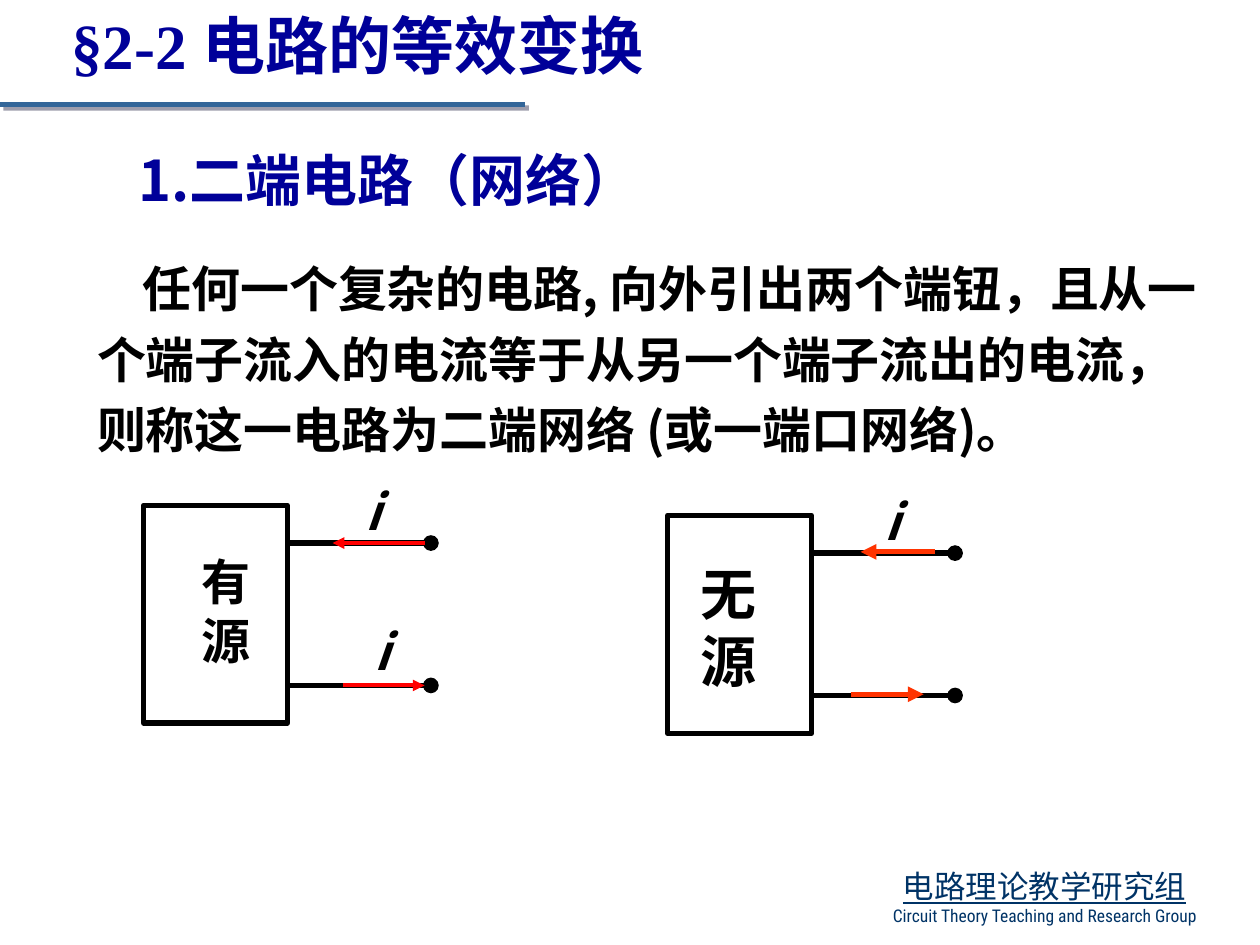
from lxml.etree import SubElement
from pptx import Presentation
from pptx.dml.color import RGBColor
from pptx.enum.shapes import MSO_CONNECTOR as LineKind, MSO_SHAPE as Preset
from pptx.enum.text import MSO_ANCHOR as Anchor, MSO_AUTO_SIZE as AutoSize, PP_ALIGN as Align
from pptx.oxml.ns import qn
from pptx.util import Inches, Pt

BLACK = RGBColor(0x00, 0x00, 0x00)
WHITE = RGBColor(0xFF, 0xFF, 0xFF)
NAVY = RGBColor(0x00, 0x00, 0x99)
RED = RGBColor(0xFF, 0x00, 0x00)
ORANGE = RGBColor(0xFF, 0x33, 0x00)
STEEL = RGBColor(0x33, 0x66, 0x99)
DEEP_BLUE = RGBColor(0x00, 0x33, 0x66)
SANS = "Noto Sans CJK SC"


def write(box, place, lines, align=Align.LEFT, **common):
    """Place a text shape and fill it with (text, format) lines."""
    box.left, box.top, box.width, box.height = map(Inches, place)
    frame = box.text_frame
    frame.word_wrap = True
    frame.auto_size = AutoSize.NONE
    frame.vertical_anchor = Anchor.TOP
    for number, (text, special) in enumerate(lines):
        para = frame.add_paragraph() if number else frame.paragraphs[0]
        para.alignment = align
        para.space_before = Pt(0)
        span = para.add_run()
        span.text = text
        look = {"name": SANS, "bold": True, **common, **special}
        span.font.color.rgb = look.pop("color", BLACK)
        for name, value in look.items():
            setattr(span.font, name, value)
        SubElement(span.font._element, qn("a:ea"), typeface=SANS)
    return frame


def draw_line(x1, y1, x2, y2, color, width, tail=None):
    """Draw a straight line without shadow and return its effect list."""
    line = page.shapes.add_connector(LineKind.STRAIGHT, *map(Inches, (x1, y1, x2, y2)))
    line.line.color.rgb = color
    line.line.width = Pt(width)
    if tail:
        SubElement(line.line._get_or_add_ln(), qn("a:tailEnd"), type=tail)
    return SubElement(line._element.spPr, qn("a:effectLst"))


deck = Presentation()
deck.slide_width, deck.slide_height = Inches(10), Inches(7.5)
page = deck.slides.add_slide(deck.slide_layouts[1])

# Title with its shadowed rule
write(page.shapes.title, (0, 0, 5.67, 0.7), [("§2-2 电路的等效变换", {})],
      Align.CENTER, name="Times New Roman", size=Pt(36), color=NAVY)
effects = draw_line(0, 0.83, 4.17, 0.83, STEEL, 3)
shadow = SubElement(effects, qn("a:outerShdw"), dist=str(Pt(2.8)), dir="2700000")
shade = SubElement(shadow, qn("a:srgbClr"), val="3E3E5C")
SubElement(shade, qn("a:alpha"), val="50000")

# Section heading
heading = page.shapes.add_textbox(0, 0, 0, 0)
write(heading, (0.38, 1.11, 5.4, 0.63), [("1.二端电路（网络）", {})],
      Align.CENTER, size=Pt(32), color=NAVY)

# Definition, with a first-line indent and no bullet
definition = ("任何一个复杂的电路, 向外引出两个端钮，且从一个端子流入的电流等于"
              "从另一个端子流出的电流，则称这一电路为二端网络 (或一端口网络)。")
frame = write(page.placeholders[1], (0.67, 1.91, 8.98, 1.78), [(definition, {})], size=Pt(28))
para = frame.paragraphs[0]
para.line_spacing = 1.2
settings = para._p.get_or_add_pPr()
settings.set("marL", "0")
settings.set("indent", str(Inches(0.36)))
SubElement(settings, qn("a:buNone"))

# Two networks: frame, two terminals, current arrows
networks = [
    (1.14, 4.01, RED, 2.25, (3.37, 2.64), (2.72, 3.37), 0),
    (5.3, 4.09, ORANGE, 3, (7.42, 6.83), (6.75, 7.33), -0.01),
]
for left, top, color, width, inward, outward, lift in networks:
    block = page.shapes.add_shape(Preset.RECTANGLE, *map(Inches, (left, top, 1.14, 1.73)))
    block.shadow.inherit = False
    block.fill.solid()
    block.fill.fore_color.rgb = WHITE
    block.line.color.rgb = BLACK
    block.line.width = Pt(3)
    for drop, (start, end) in ((0.3, inward), (1.43, outward)):
        y = top + drop
        draw_line(left + 1.14, y, left + 2.28, y, BLACK, 3, "oval")
        draw_line(start, y + lift, end, y + lift, color, width, "triangle")

# Network names, wrapped to one character a line
for text, place, size in (("有源", (1.5, 4.33, 0.43, 1.03), 28),
                          ("无源", (5.46, 4.39, 0.73, 1.18), 32)):
    write(page.shapes.add_textbox(0, 0, 0, 0), place, [(text, {})], size=Pt(size))

# Current labels
for x, y in ((2.8, 3.77), (2.87, 4.88), (6.92, 3.85)):
    write(page.shapes.add_textbox(0, 0, 0, 0), (x, y, 0.41, 0.57), [("i", {})],
          size=Pt(28), italic=True)

# Group signature
signature = [
    ("电路理论教学研究组", {"size": Pt(18), "underline": True}),
    ("Circuit Theory Teaching and Research Group", {"size": Pt(10), "name": "Roboto Condensed"}),
]
write(page.shapes.add_textbox(0, 0, 0, 0), (6.75, 6.83, 3.08, 0.57), signature,
      Align.CENTER, bold=False, color=DEEP_BLUE)

deck.save("out.pptx")
